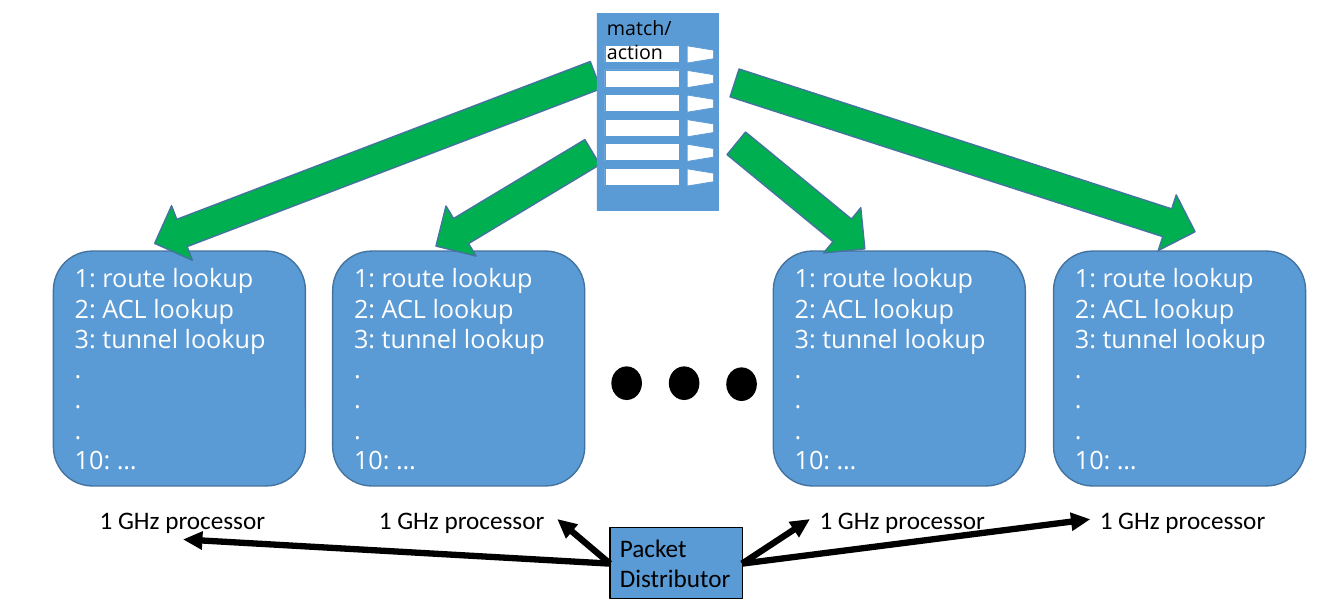
from lxml import etree
from pptx import Presentation
from pptx.dml.color import RGBColor
from pptx.enum.shapes import MSO_CONNECTOR, MSO_SHAPE
from pptx.enum.text import MSO_ANCHOR, PP_ALIGN
from pptx.oxml.ns import qn
from pptx.util import Inches, Pt

ROUNDED, RECTANGLE = MSO_SHAPE.ROUNDED_RECTANGLE, MSO_SHAPE.RECTANGLE
OVAL, TRAPEZOID, DOWN_ARROW = MSO_SHAPE.OVAL, MSO_SHAPE.TRAPEZOID, MSO_SHAPE.DOWN_ARROW
STRAIGHT = MSO_CONNECTOR.STRAIGHT
LEFT, TOP, MIDDLE = PP_ALIGN.LEFT, MSO_ANCHOR.TOP, MSO_ANCHOR.MIDDLE

COLORS = {"blue": "5B9BD5", "edge": "43739E", "green": "00B050",
          "black": "000000", "white": "FFFFFF"}

PROGRAM = ["1: route lookup", "2: ACL lookup", "3: tunnel lookup", ".", ".", ".", "10: …"]
PROCESSOR_LABEL = "1 GHz processor"
DISTRIBUTOR = ["Packet", "Distributor"]
PROCESSOR_LEFTS = [0.53, 3.3, 7.67, 10.45]
# Left, top, height and rotation of each green arrow
CODE_ARROWS = [(3.43, -0.76, 4.68, 69.1), (4.81, 1.07, 1.81, 59),
               (7.65, 1.12, 1.65, 309.4), (9.28, -0.84, 4.8, 287.9)]
DOTS = [(6.07, 3.64), (6.64, 3.64), (7.21, 3.65)]
# Start and end of each packet path
PACKET_PATHS = [((6.05, 5.59), (1.82, 5.35)), ((6.05, 5.59), (5.53, 5.15)),
                ((7.36, 5.59), (8.03, 5.15)), ((7.36, 5.59), (10.81, 5.15))]
STAGE_COUNT, STAGE_TOP, STAGE_PITCH = 6, 0.45, 0.244


def color(name):
    """Return the named colour."""
    return RGBColor.from_string(COLORS[name])


def add_box(shapes, kind, box, fill, line, line_width, rotation=0):
    """Add a filled preset shape; box is left, top, width, height in inches."""
    shape = shapes.add_shape(kind, *map(Inches, box))
    shape.shadow.inherit = False
    shape.fill.solid()
    shape.fill.fore_color.rgb = color(fill)
    shape.line.color.rgb = color(line)
    shape.line.width = Pt(line_width)
    shape.rotation = rotation
    return shape


def add_line(shapes, start, end, line, width, arrow=False):
    """Add a straight connector, with an arrowhead at its end if asked."""
    connector = shapes.add_connector(STRAIGHT, *map(Inches, start + end))
    connector.line.color.rgb = color(line)
    connector.line.width = Pt(width)
    if arrow:
        etree.SubElement(connector.line._get_or_add_ln(), qn("a:tailEnd"), type="triangle")
    etree.SubElement(connector._element.spPr, qn("a:effectLst"))


def write(shape, lines, font, size, fill, anchor=TOP, wrap=False):
    """Write left-aligned lines of text into a shape."""
    frame = shape.text_frame
    frame.text = "\n".join(lines)
    frame.word_wrap = wrap
    frame.vertical_anchor = anchor
    for paragraph in frame.paragraphs:
        paragraph.alignment = LEFT
        for run in paragraph.runs:
            run.font.name = font
            run.font.size = Pt(size)
            run.font.color.rgb = color(fill)


def add_processor(shapes, left):
    """Add one processor with its program and its label."""
    card = add_box(shapes, ROUNDED, (left, 2.49, 2.5, 2.33), "blue", "edge", 1)
    write(card, PROGRAM, "Open Sans", 18, "white", MIDDLE, True)
    label = shapes.add_textbox(*map(Inches, (left + 0.36, 4.95, 1.86, 0.4)))
    write(label, [PROCESSOR_LABEL], "Calibri", 18, "black")


def add_match_action(shapes):
    """Add the group of match/action stages."""
    parts = shapes.add_group_shape().shapes
    add_box(parts, RECTANGLE, (5.92, 0.13, 1.21, 1.96), "blue", "blue", 0.5)
    for index in range(STAGE_COUNT):
        top = STAGE_TOP + index * STAGE_PITCH
        add_box(parts, RECTANGLE, (6, top, 0.74, 0.17), "white", "blue", 0.5)
        add_box(parts, TRAPEZOID, (6.86, top - 0.04, 0.17, 0.26), "white", "blue", 0.5, 90)
        add_line(parts, (6.73, top + 0.09), (6.81, top + 0.09), "blue", 1)
    title = parts.add_textbox(*map(Inches, (5.88, 0.09, 1.43, 0.38)))
    write(title, ["match/action"], "Open Sans", 14, "black", wrap=True)
    frame = title.text_frame
    frame.margin_left = frame.margin_right = Inches(0.14)
    frame.margin_top = frame.margin_bottom = Inches(0.07)


presentation = Presentation()
presentation.slide_width, presentation.slide_height = Inches(13.33), Inches(6)
slide = presentation.slides.add_slide(presentation.slide_layouts[6])
shapes = slide.shapes

for left in PROCESSOR_LEFTS:
    add_processor(shapes, left)
for left, top, height, rotation in CODE_ARROWS:
    add_box(shapes, DOWN_ARROW, (left, top, 0.58, height), "green", "edge", 1, rotation)
for left, top in DOTS:
    add_box(shapes, OVAL, (left, top, 0.29, 0.32), "black", "black", 1)
distributor = add_box(shapes, RECTANGLE, (6.05, 5.23, 1.31, 0.71), "blue", "black", 0.75)
write(distributor, DISTRIBUTOR, "Calibri", 18, "black")
for start, end in PACKET_PATHS:
    add_line(shapes, start, end, "black", 4.5, True)
add_match_action(shapes)

presentation.save("out.pptx")
